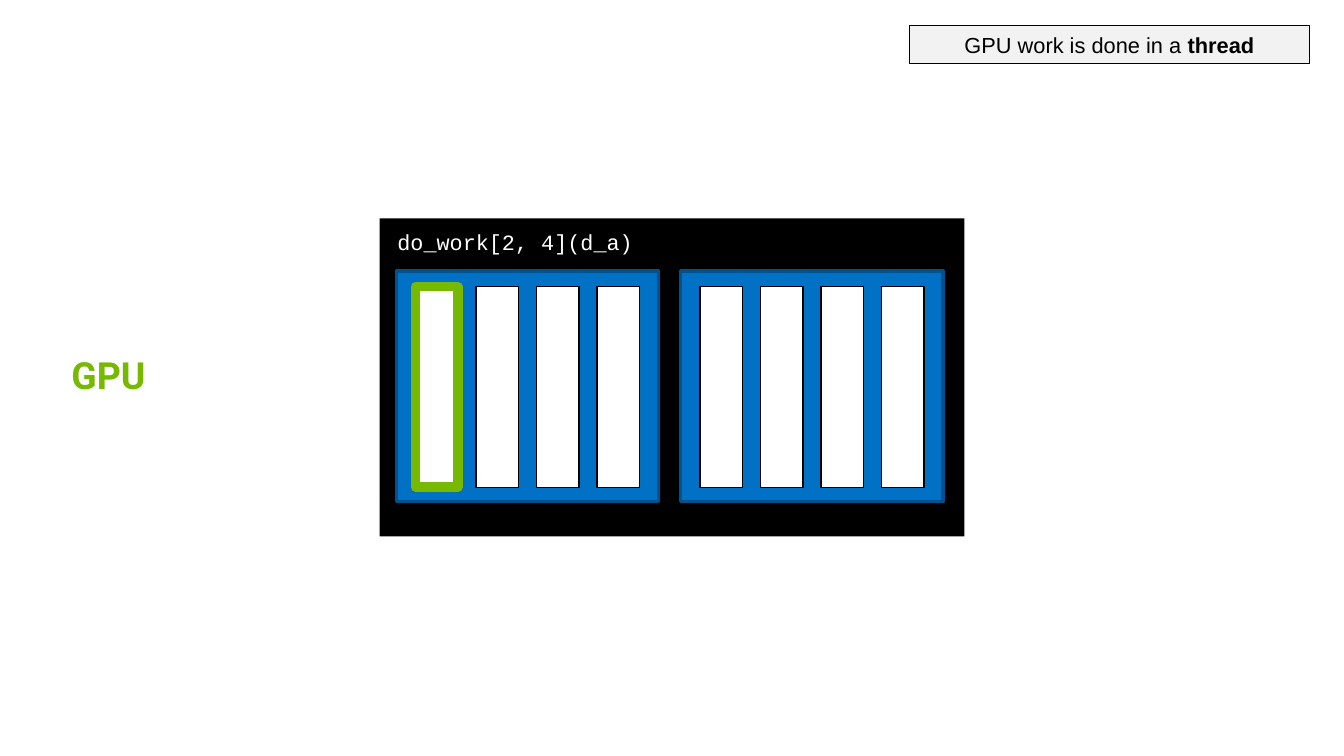
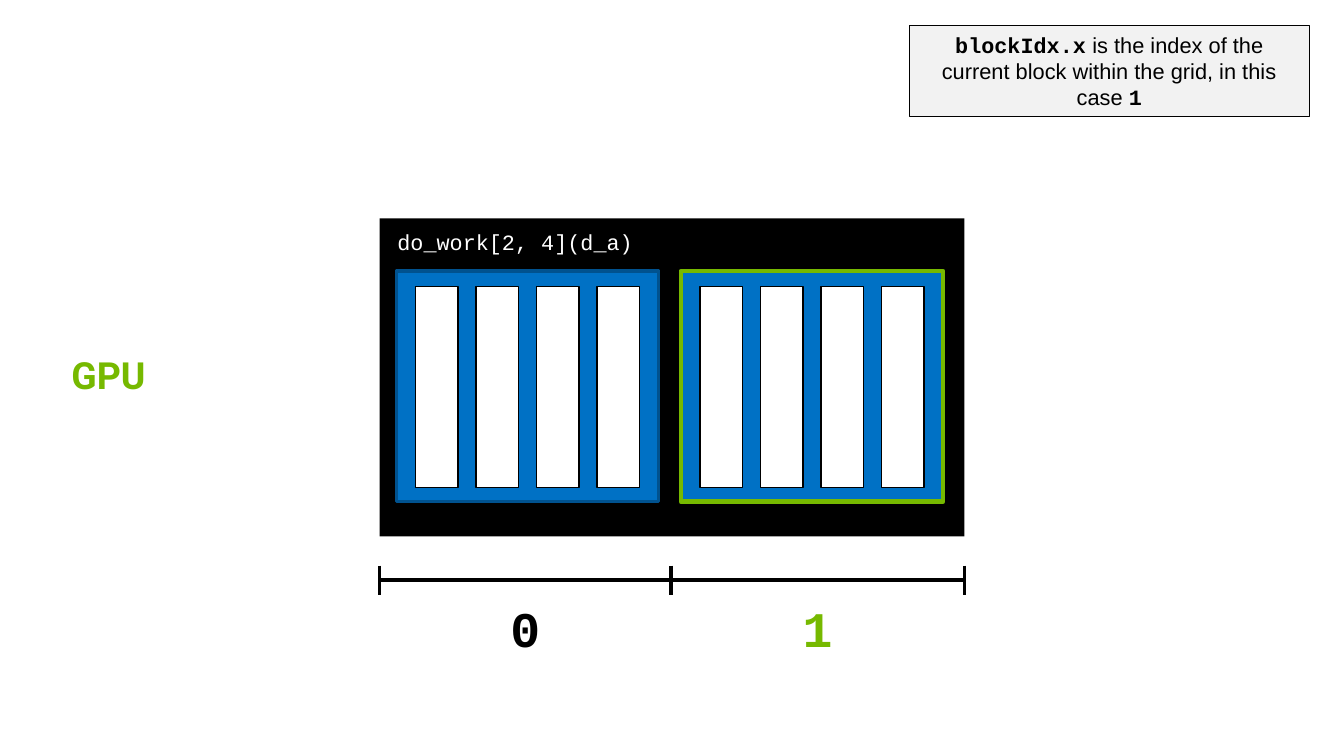
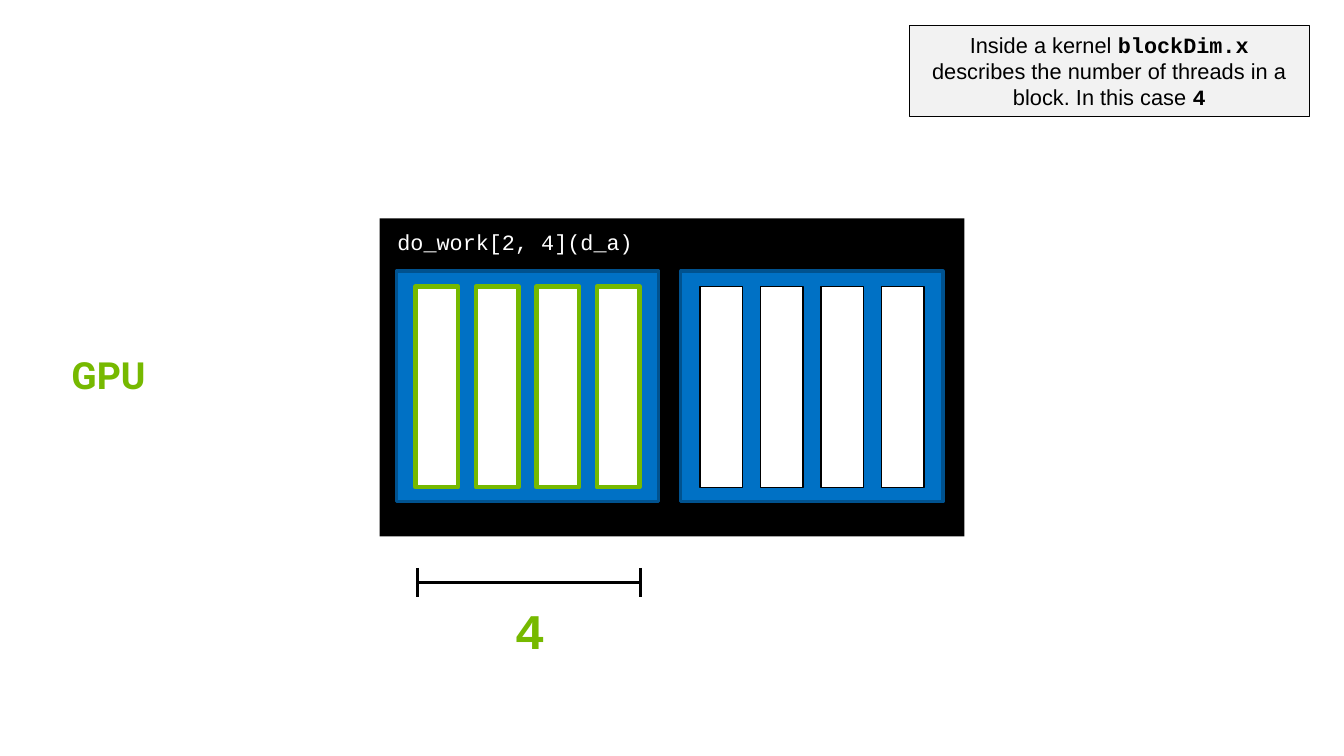
from dataclasses import dataclass, field

from lxml.etree import SubElement
from pptx import Presentation
from pptx.dml.color import RGBColor
from pptx.enum.shapes import MSO_CONNECTOR, MSO_SHAPE
from pptx.enum.text import MSO_ANCHOR, PP_ALIGN
from pptx.oxml.ns import qn
from pptx.util import Inches, Pt

BLACK, WHITE, PALE = "000000", "FFFFFF", "F2F2F2"
GREEN, BLUE, NAVY = "76B900", "0071C5", "00528F"
SANS, MONO, HEAD = "Arial", "Courier New", "Roboto"

BLOCKS, THREADS = 2, 4
GRID = (3.39, 1.95, 5.22, 2.84)
BLOCK_X, BLOCK_STEP = 3.54, 2.54
THREAD_INSET, THREAD_STEP = 0.17, 0.54


@dataclass
class Run:
    text: str
    font: str = SANS
    bold: bool = False
    color: str = BLACK
    size: float = 14


@dataclass
class Edge:
    color: str
    width: float


@dataclass
class Mark:
    """A number under the scale, centred on x."""
    text: str
    x: float
    color: str = GREEN


@dataclass
class Scale:
    y: float
    ticks: list[float]
    marks: list[Mark]


@dataclass
class Page:
    note: list[Run]
    note_high: float = 0.81
    blocks: dict[int, Edge] = field(default_factory=dict)
    threads: dict[tuple[int, int], Edge] = field(default_factory=dict)
    scale: Scale | None = None


def paint(color: str) -> RGBColor:
    return RGBColor.from_string(color)


def write(shape, runs: list[Run], align=PP_ALIGN.LEFT, anchor=MSO_ANCHOR.MIDDLE):
    frame = shape.text_frame
    frame.word_wrap = True
    frame.vertical_anchor = anchor
    para = frame.paragraphs[0]
    para.alignment = align
    for item in runs:
        run = para.add_run()
        run.text = item.text
        run.font.name = item.font
        run.font.size = Pt(item.size)
        run.font.bold = item.bold
        run.font.color.rgb = paint(item.color)
    return para


def add_box(slide, at: tuple, fill: str, edge: Edge | None = None):
    box = slide.shapes.add_shape(MSO_SHAPE.RECTANGLE, *map(Inches, at))
    box.shadow.inherit = False
    box.fill.solid()
    box.fill.fore_color.rgb = paint(fill)
    if edge:
        box.line.color.rgb = paint(edge.color)
        box.line.width = Pt(edge.width)
    else:
        box.line.fill.background()
    return box


def add_text(slide, at: tuple, run: Run, align=PP_ALIGN.LEFT, anchor=MSO_ANCHOR.MIDDLE):
    box = slide.shapes.add_textbox(*map(Inches, at))
    return write(box, [run], align, anchor)


def add_line(slide, x1: float, y1: float, x2: float, y2: float):
    line = slide.shapes.add_connector(
        MSO_CONNECTOR.STRAIGHT, *map(Inches, (x1, y1, x2, y2)))
    line.line.color.rgb = paint(BLACK)
    line.line.width = Pt(2.25)
    SubElement(line._element.spPr, qn("a:effectLst"))


def add_grid(slide, page: Page):
    add_box(slide, GRID, BLACK)
    label = add_box(slide, (3.45, 1.99, 3.06, 0.34), BLACK)
    write(label, [Run("do_work[2, 4](d_a)", MONO, color=WHITE)])
    for block in range(BLOCKS):
        left = BLOCK_X + block * BLOCK_STEP
        edge = page.blocks.get(block, Edge(NAVY, 2))
        add_box(slide, (left, 2.42, 2.34, 2.06), BLUE, edge)
        for thread in range(THREADS):
            x = left + THREAD_INSET + thread * THREAD_STEP
            edge = page.threads.get((block, thread), Edge(BLACK, 0.75))
            add_box(slide, (x, 2.56, 0.38, 1.79), WHITE, edge)


def add_scale(slide, scale: Scale):
    add_line(slide, scale.ticks[0], scale.y, scale.ticks[-1], scale.y)
    for x in scale.ticks:
        add_line(slide, x, scale.y - 0.13, x, scale.y + 0.13)
    for mark in scale.marks:
        at = (mark.x - 0.34, scale.y + 0.1, 0.68, 0.64)
        add_text(slide, at, Run(mark.text, MONO, True, mark.color, 32), PP_ALIGN.CENTER)


def add_page(deck, page: Page):
    slide = deck.slides.add_slide(deck.slide_layouts[6])
    add_grid(slide, page)
    note = add_box(slide, (8.12, 0.23, 3.57, page.note_high), PALE, Edge(BLACK, 0.75))
    write(note, page.note, PP_ALIGN.CENTER, MSO_ANCHOR.TOP)
    title = add_text(slide, (0.54, 3.14, 0.97, 0.46),
                     Run("GPU", HEAD, True, GREEN, 24), anchor=MSO_ANCHOR.BOTTOM)
    title.line_spacing = 0.9
    if page.scale:
        add_scale(slide, page.scale)


PAGES = [
    Page(
        note=[Run("GPU work is done in a "), Run("thread", bold=True)],
        note_high=0.34,
        threads={(0, 0): Edge(GREEN, 6)},
    ),
    Page(
        note=[
            Run("blockIdx.x", MONO, True),
            Run(" is the index of the current block within the grid, in this case "),
            Run("1", MONO, True),
        ],
        blocks={1: Edge(GREEN, 3)},
        scale=Scale(5.18, [3.39, 5.99, 8.61], [Mark("0", 4.69, BLACK), Mark("1", 7.3)]),
    ),
    Page(
        note=[
            Run("Inside a kernel "),
            Run("blockDim.x", MONO, True),
            Run(" describes the number of threads in a block. In this case "),
            Run("4", MONO, True),
        ],
        threads={(0, thread): Edge(GREEN, 3) for thread in range(THREADS)},
        scale=Scale(5.2, [3.73, 5.72], [Mark("4", 4.73)]),
    ),
]


def main():
    deck = Presentation()
    deck.slide_width, deck.slide_height = Inches(12), Inches(6.75)
    for page in PAGES:
        add_page(deck, page)
    deck.save("out.pptx")


if __name__ == "__main__":
    main()
